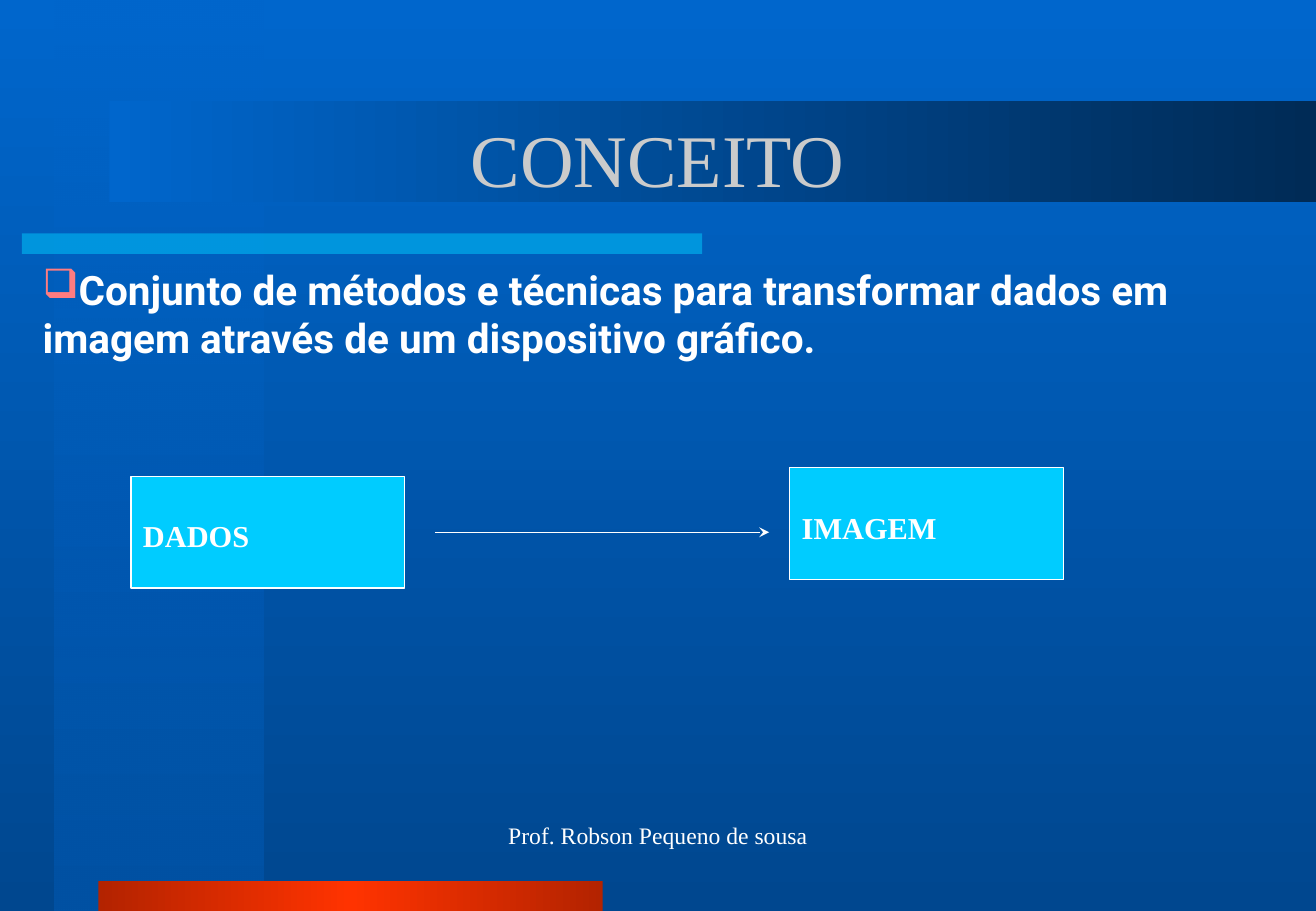
import pptx
import pptx.util
import pptx.dml.color
import pptx.enum.shapes
import pptx.enum.text
import pptx.oxml
import pptx.oxml.ns
from lxml import etree

Cm, Pt = pptx.util.Cm, pptx.util.Pt
RGBColor = pptx.dml.color.RGBColor
Align, Anchor = pptx.enum.text.PP_ALIGN, pptx.enum.text.MSO_ANCHOR
qn = pptx.oxml.ns.qn

BLUE = RGBColor(0x00, 0x66, 0xCC)
MID_BLUE = RGBColor(0x00, 0x52, 0xA4)
DEEP_BLUE = RGBColor(0x00, 0x47, 0x8F)
NAVY = RGBColor(0x00, 0x2B, 0x56)
CYAN = RGBColor(0x00, 0xCC, 0xFF)
RED = RGBColor(0xFF, 0x33, 0x00)
DARK_RED = RGBColor(0xB3, 0x23, 0x00)
PINK = RGBColor(0xFF, 0x7C, 0x80)
GREY = RGBColor(0xCB, 0xCB, 0xCB)
WHITE = RGBColor(0xFF, 0xFF, 0xFF)
SERIF, SANS = "Times New Roman", "Roboto"
DOWN, RIGHTWARD = 270, 0

# Positions are left, top, width, height in cm; stops are percent, colour, opacity.
SLIDE_SIZE = (27.51, 19.05)
BACKGROUND = [(0, BLUE, 100), (100, DEEP_BLUE, 100)]
BANDS = [
    ((1.14, 0, 4.37, 19.05), DOWN, [(0, BLUE, 50), (100, MID_BLUE, 100)]),
    ((0.46, 4.88, 14.22, 0.43), RIGHTWARD, [(0, CYAN, 50), (100, CYAN, 50)]),
    ((2.06, 18.42, 10.54, 0.63), RIGHTWARD,
     [(0, DARK_RED, 100), (50, RED, 100), (100, DARK_RED, 100)]),
    ((2.29, 2.11, 25.22, 2.11), RIGHTWARD, [(0, BLUE, 100), (100, NAVY, 100)]),
]
TITLE = ("CONCEITO", (2.06, 1.7, 23.39, 3.18))
FOOTER = ("Prof. Robson Pequeno de sousa", (9.4, 16.51, 8.71, 1.9))
DEFINITION = ("Conjunto de métodos e técnicas para transformar dados em "
              "imagem através de um dispositivo gráfico.", (0.64, 5.41, 26.87, 10.52))
BOXES = [("DADOS", (2.74, 9.96, 5.72, 2.34)), ("IMAGEM", (16.51, 9.78, 5.72, 2.34))]
ARROW = (9.09, 11.13, 16.08, 11.13)


def lengths(values):
    return [Cm(value) for value in values]


def set_gradient(fill, element, angle, stops):
    fill.gradient()
    fill.gradient_angle = angle
    stop_list = element.find(".//" + qn("a:gsLst"))
    for stop in list(stop_list):
        stop_list.remove(stop)
    for percent, color, opacity in stops:
        stop = etree.SubElement(stop_list, qn("a:gs"), pos=str(percent * 1000))
        rgb = etree.SubElement(stop, qn("a:srgbClr"), val=str(color))
        if opacity < 100:
            etree.SubElement(rgb, qn("a:alpha"), val=str(opacity * 1000))


def write(shape, text, size, color, align, anchor, font=SERIF, bold=False):
    frame = shape.text_frame
    frame.word_wrap = True
    frame.vertical_anchor = anchor
    paragraph = frame.paragraphs[0]
    paragraph.alignment = align
    run = paragraph.add_run()
    run.text = text
    run.font.name, run.font.size, run.font.bold = font, Pt(size), bold
    run.font.color.rgb = color
    return paragraph


def add_rectangle(slide, place):
    shape = slide.shapes.add_shape(
        pptx.enum.shapes.MSO_SHAPE.RECTANGLE, *lengths(place))
    shape.shadow.inherit = False
    return shape


def add_bullet(paragraph, character, color):
    properties = paragraph._p.get_or_add_pPr()
    properties.set("marL", "0")
    properties.set("indent", str(-Cm(0.43)))
    bullet_color = etree.SubElement(properties, qn("a:buClr"))
    etree.SubElement(bullet_color, qn("a:srgbClr"), val=str(color))
    etree.SubElement(properties, qn("a:buChar"), char=character)


def main():
    presentation = pptx.Presentation()
    presentation.slide_width, presentation.slide_height = lengths(SLIDE_SIZE)
    slide = presentation.slides.add_slide(presentation.slide_layouts[5])
    set_gradient(slide.background.fill, slide.element, DOWN, BACKGROUND)

    for place, angle, stops in BANDS:
        band = add_rectangle(slide, place)
        set_gradient(band.fill, band.element, angle, stops)
        band.line.fill.background()

    text, place = FOOTER
    footer = slide.shapes.add_textbox(*lengths(place))
    write(footer, text, 14, WHITE, Align.CENTER, Anchor.MIDDLE)

    text, place = TITLE
    title = slide.shapes.title
    title.left, title.top, title.width, title.height = lengths(place)
    write(title, text, 44, GREY, Align.CENTER, Anchor.MIDDLE)
    title.element.getparent().append(title.element)  # in front of the bands

    text, place = DEFINITION
    definition = slide.shapes.add_textbox(*lengths(place))
    paragraph = write(definition, text, 24, WHITE, Align.LEFT, Anchor.TOP, SANS, True)
    add_bullet(paragraph, "❑", PINK)

    for text, place in BOXES:
        box = add_rectangle(slide, place)
        box.fill.solid()
        box.fill.fore_color.rgb = CYAN
        box.line.color.rgb = WHITE
        box.line.width = Pt(0.75)
        box.text_frame.margin_top = Cm(0.86)
        write(box, text, 18, WHITE, Align.LEFT, Anchor.TOP, bold=True)

    arrow = slide.shapes.add_connector(
        pptx.enum.shapes.MSO_CONNECTOR.STRAIGHT, *lengths(ARROW))
    arrow.line.color.rgb = WHITE
    arrow.line.width = Pt(0.75)
    etree.SubElement(arrow.line._get_or_add_ln(), qn("a:tailEnd"), type="stealth")
    etree.SubElement(arrow.element.spPr, qn("a:effectLst"))

    presentation.save("out.pptx")


if __name__ == "__main__":
    main()
